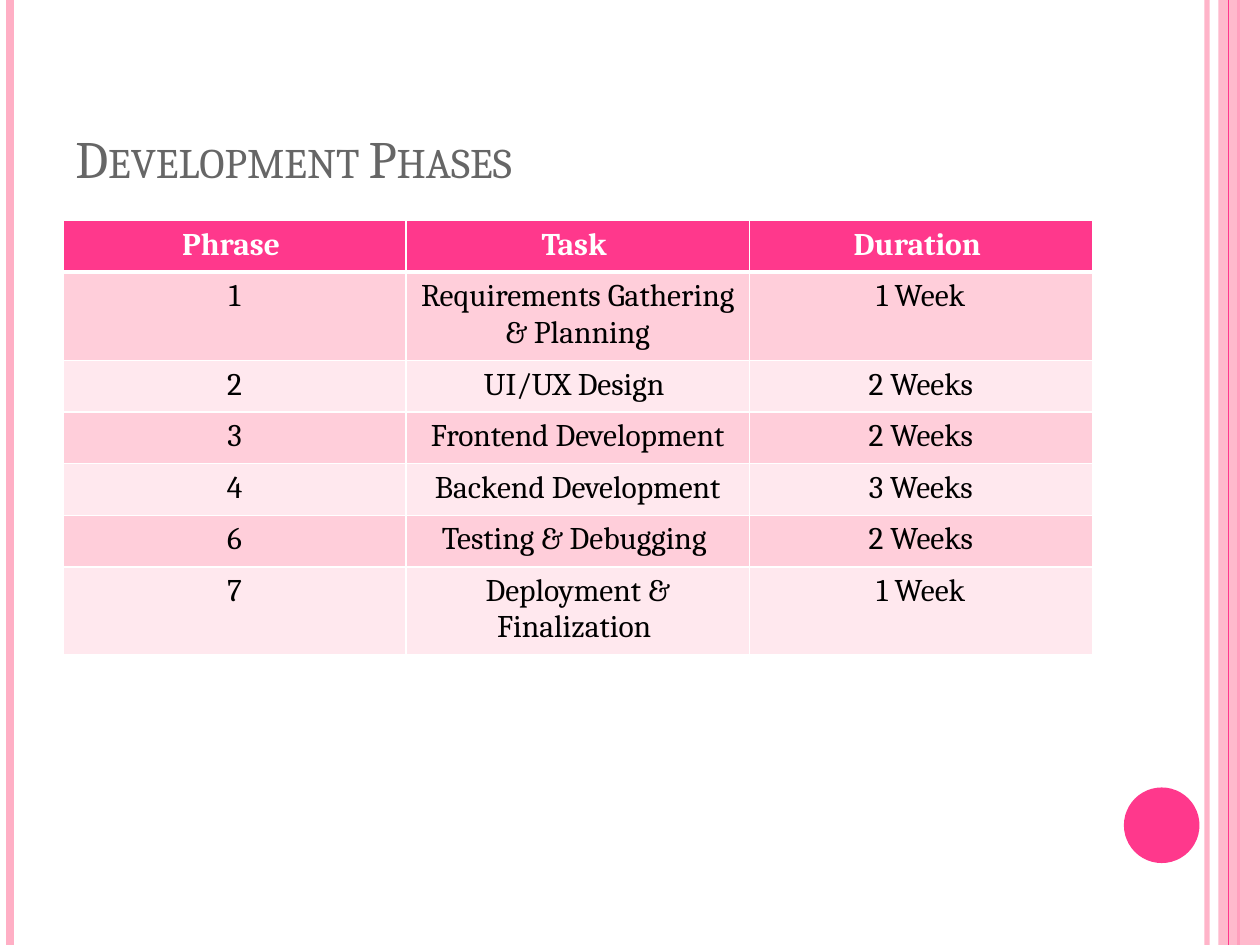
from dataclasses import dataclass

from lxml import etree
from pptx import Presentation
from pptx import util as u
from pptx.dml.color import RGBColor
from pptx.enum import shapes, text
from pptx.oxml.ns import qn


@dataclass(frozen=True)
class Theme:
    font: str = "Cambria"
    pink: str = "FF388C"
    pale: str = "FFAFC5"
    odd: str = "FFCEDA"
    even: str = "FFE8EE"
    white: str = "FFFFFF"
    black: str = "000000"
    grey: str = "666666"
    head: int = 30
    body: int = 18


theme = Theme()


def paint(fill, color, alpha=100):
    fill.solid()
    fill.fore_color.rgb = RGBColor.from_string(color)
    if alpha < 100:
        tint = fill._xPr.find(".//" + qn("a:srgbClr"))
        etree.SubElement(tint, qn("a:alpha"), val=str(alpha * 1000))


def write(para, words, size, color, bold=False):
    run = para.add_run()
    run.text = words
    run.font.name = theme.font
    run.font.size = u.Pt(size)
    run.font.bold = bold
    run.font.color.rgb = RGBColor.from_string(color)
    return run


deck = Presentation()
deck.slide_width, deck.slide_height = u.Inches(10), u.Inches(7.5)
slide = deck.slides.add_slide(deck.slide_layouts[6])
items = slide.shapes

# Side stripes: the band lies over the first three lines
stripes = [
    (9.58, theme.pale, 3, 93),
    (0.08, theme.pale, 4.5, 100),
    (9.83, theme.pink, 1.5, 100),
    None,
    (9.75, theme.pink, 0.75, 100),
]
for stripe in stripes:
    if stripe is None:
        band = items.add_shape(shapes.MSO_SHAPE.RECTANGLE, u.Inches(9.67), 0,
                               u.Inches(0.33), u.Inches(7.5))
        band.shadow.inherit = False
        paint(band.fill, theme.pale, 87)
        band.line.fill.background()
        continue
    left, color, width, alpha = stripe
    line = items.add_connector(shapes.MSO_CONNECTOR.STRAIGHT, u.Inches(left), 0,
                               u.Inches(left), u.Inches(7.5))
    line.line.width = u.Pt(width)
    paint(line.line.fill, color, alpha)
    etree.SubElement(line._element.spPr, qn("a:effectLst"))

# Corner dot
dot = items.add_shape(shapes.MSO_SHAPE.OVAL, u.Inches(8.92), u.Inches(6.25),
                      u.Inches(0.6), u.Inches(0.6))
dot.shadow.inherit = False
paint(dot.fill, theme.pink)
dot.line.fill.background()

# Title in small capitals
title = items.add_textbox(u.Inches(0.5), u.Inches(0.3), u.Inches(8.17), u.Inches(1.25))
frame = title.text_frame
frame.word_wrap = True
frame.vertical_anchor = text.MSO_ANCHOR.BOTTOM
run = write(frame.paragraphs[0], "Development Phases", theme.head, theme.grey)
run.font._element.set("cap", "small")

# Phase table
rows = [
    ("Phrase ", "Task ", "Duration "),
    ("1", "Requirements Gathering & Planning", "1 Week"),
    ("2", "UI/UX Design ", "2 Weeks"),
    ("3", "Frontend Development", "2 Weeks"),
    ("4", "Backend Development", "3 Weeks"),
    ("6", "Testing & Debugging ", "2 Weeks"),
    ("7", "Deployment & Finalization ", "1 Week"),
]
grid = items.add_table(len(rows), 3, u.Inches(0.5), u.Inches(1.75),
                       u.Inches(8.17), u.Inches(0.41 * len(rows))).table
for r, row in enumerate(rows):
    top = r == 0
    shade = theme.pink if top else theme.odd if r % 2 else theme.even
    for c, words in enumerate(row):
        cell = grid.cell(r, c)
        para = cell.text_frame.paragraphs[0]
        para.alignment = text.PP_ALIGN.CENTER
        write(para, words, theme.body, theme.white if top else theme.black, top)

        # White borders, thicker under the header
        props = cell._tc.get_or_add_tcPr()
        for side in "LRTB":
            thick = (r, side) in ((0, "B"), (1, "T"))
            edge = etree.SubElement(props, qn("a:ln" + side),
                                    w=str(u.Pt(3 if thick else 1)))
            fill = etree.SubElement(edge, qn("a:solidFill"))
            etree.SubElement(fill, qn("a:srgbClr"), val=theme.white)
        paint(cell.fill, shade)

deck.save("out.pptx")
